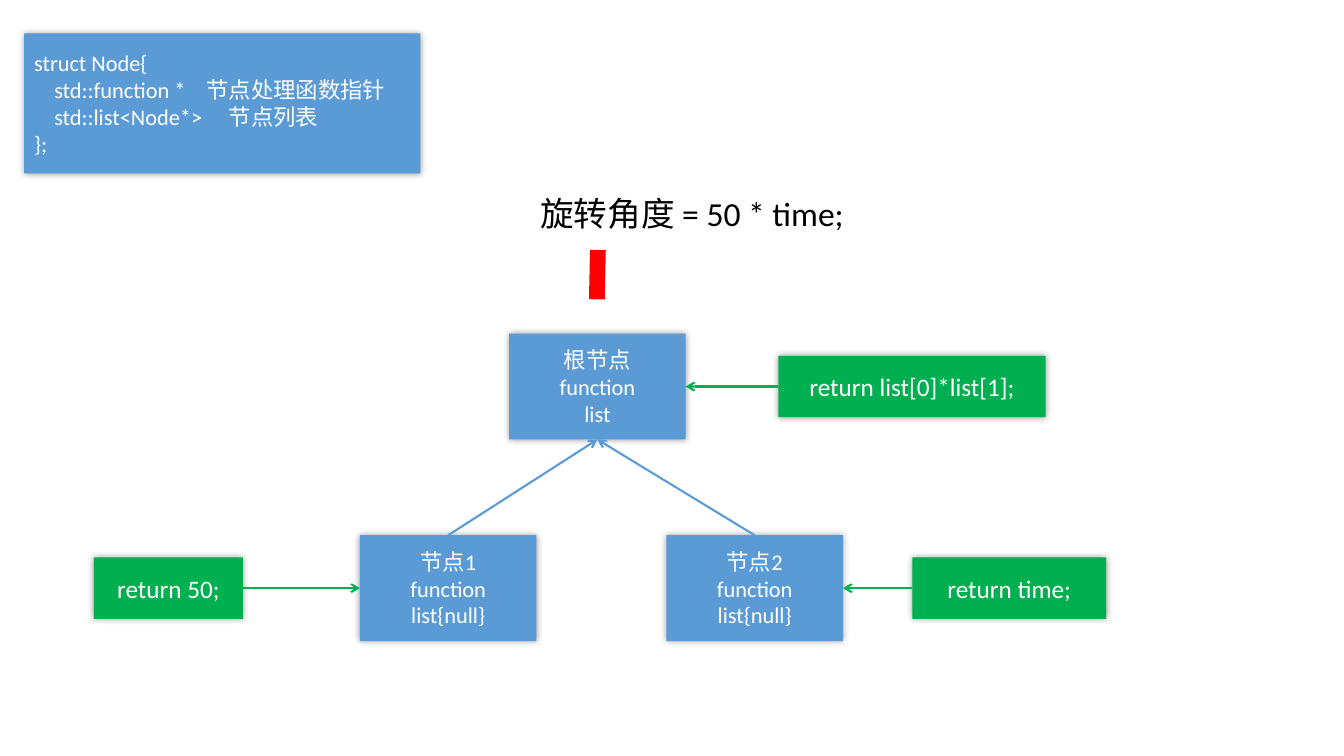
from lxml import etree
from pptx import Presentation
from pptx.dml.color import RGBColor
from pptx.enum.shapes import MSO_CONNECTOR, MSO_SHAPE
from pptx.enum.text import MSO_ANCHOR, MSO_AUTO_SIZE, PP_ALIGN
from pptx.oxml import parse_xml
from pptx.oxml.ns import nsdecls, qn
from pptx.util import Inches, Pt

COLORS = {"node": "5B9BD5", "result": "00B050", "marker": "FF0000",
          "light": "FFFFFF", "dark": "000000"}
FONT = "Calibri"
TOP, LEFT, BOTTOM, RIGHT = range(4)

STRUCT_LINES = ["struct Node{", "\tstd::function *\t节点处理函数指针",
                "\tstd::list<Node*>\t节点列表", "};"]
STRUCT_TABS = {1: (0.2, 1.71), 2: (0.2, 1.93)}  # line index: tab stops in inches
FORMULA = "旋转角度 = 50 * time;"

NODE_SIZE = (1.75, 1.05)
NODES = {  # name: (left, top, lines)
    "root": (5.05, 3.31, ["根节点", "function", "list"]),
    "first": (3.57, 5.31, ["节点1", "function", "list{null}"]),
    "second": (6.61, 5.31, ["节点2", "function", "list{null}"]),
}
RESULT_HEIGHT = 0.61
RESULTS = [  # node, left, width, text
    ("root", 7.72, 2.65, "return list[0]*list[1];"),
    ("first", 0.93, 1.48, "return 50;"),
    ("second", 9.05, 1.92, "return time;"),
]


def write_lines(text_frame, lines, size, color, align):
    text_frame.text = "\n".join(lines)
    for paragraph in text_frame.paragraphs:
        paragraph.alignment = align
        for run in paragraph.runs:
            run.font.name = FONT
            run.font.size = Pt(size)
            run.font.color.rgb = RGBColor.from_string(COLORS[color])


def add_box(slide, bounds, color, lines, size, align=PP_ALIGN.CENTER):
    """Add a borderless rectangle with a soft shadow and light text."""
    box = slide.shapes.add_shape(MSO_SHAPE.RECTANGLE, *map(Inches, bounds))
    box.fill.solid()
    box.fill.fore_color.rgb = RGBColor.from_string(COLORS[color])
    box.line.fill.background()
    box.shadow.inherit = False
    effects = box._element.spPr.find(qn("a:effectLst"))
    effects.append(parse_xml(
        f'<a:outerShdw {nsdecls("a")} blurRad="{Pt(5)}" dist="0" dir="0">'
        f'<a:srgbClr val="{COLORS["dark"]}"><a:alpha val="40000"/></a:srgbClr>'
        '</a:outerShdw>'))
    box.text_frame.word_wrap = True
    box.text_frame.vertical_anchor = MSO_ANCHOR.MIDDLE
    write_lines(box.text_frame, lines, size, "light", align)
    return box


def set_tab_stops(paragraph, stops):
    properties = paragraph._p.get_or_add_pPr()
    tab_list = etree.SubElement(properties, qn("a:tabLst"))
    for stop in stops:
        etree.SubElement(tab_list, qn("a:tab"), pos=str(Inches(stop)), algn="l")


def add_line(slide, color, width, start=(0, 0), end=(0, 0)):
    line = slide.shapes.add_connector(
        MSO_CONNECTOR.STRAIGHT, *map(Inches, (*start, *end)))
    line.line.color.rgb = RGBColor.from_string(COLORS[color])
    line.line.width = Pt(width)
    etree.SubElement(line._element.spPr, qn("a:effectLst"))
    return line


def add_arrow(slide, color, source, source_side, target, target_side):
    arrow = add_line(slide, color, 1.5)
    arrow.begin_connect(source, source_side)
    arrow.end_connect(target, target_side)
    etree.SubElement(arrow.line._get_or_add_ln(), qn("a:tailEnd"), type="arrow")


def main():
    presentation = Presentation()
    presentation.slide_width = Inches(13.33)
    presentation.slide_height = Inches(7.5)
    slide = presentation.slides.add_slide(presentation.slide_layouts[6])

    struct_box = add_box(slide, (0.24, 0.33, 3.93, 1.39), "node",
                         STRUCT_LINES, 16, PP_ALIGN.LEFT)
    for index, stops in STRUCT_TABS.items():
        set_tab_stops(struct_box.text_frame.paragraphs[index], stops)

    node_boxes = {name: add_box(slide, (left, top, *NODE_SIZE), "node", lines, 16)
                  for name, (left, top, lines) in NODES.items()}
    for child in ("first", "second"):
        add_arrow(slide, "node", node_boxes[child], TOP, node_boxes["root"], BOTTOM)

    formula = slide.shapes.add_textbox(*map(Inches, (5.26, 1.86, 3.79, 0.5)))
    formula.text_frame.word_wrap = True
    formula.text_frame.auto_size = MSO_AUTO_SIZE.SHAPE_TO_FIT_TEXT
    write_lines(formula.text_frame, [FORMULA], 24, "dark", PP_ALIGN.LEFT)

    for name, left, width, text in RESULTS:
        node_left, node_top, _ = NODES[name]
        top = node_top + (NODE_SIZE[1] - RESULT_HEIGHT) / 2
        result = add_box(slide, (left, top, width, RESULT_HEIGHT), "result", [text], 18)
        sides = (RIGHT, LEFT) if left < node_left else (LEFT, RIGHT)
        add_arrow(slide, "result", result, sides[0], node_boxes[name], sides[1])

    add_line(slide, "marker", 11.25, (5.92, 2.97), (5.93, 2.48))
    presentation.save("out.pptx")


if __name__ == "__main__":
    main()
